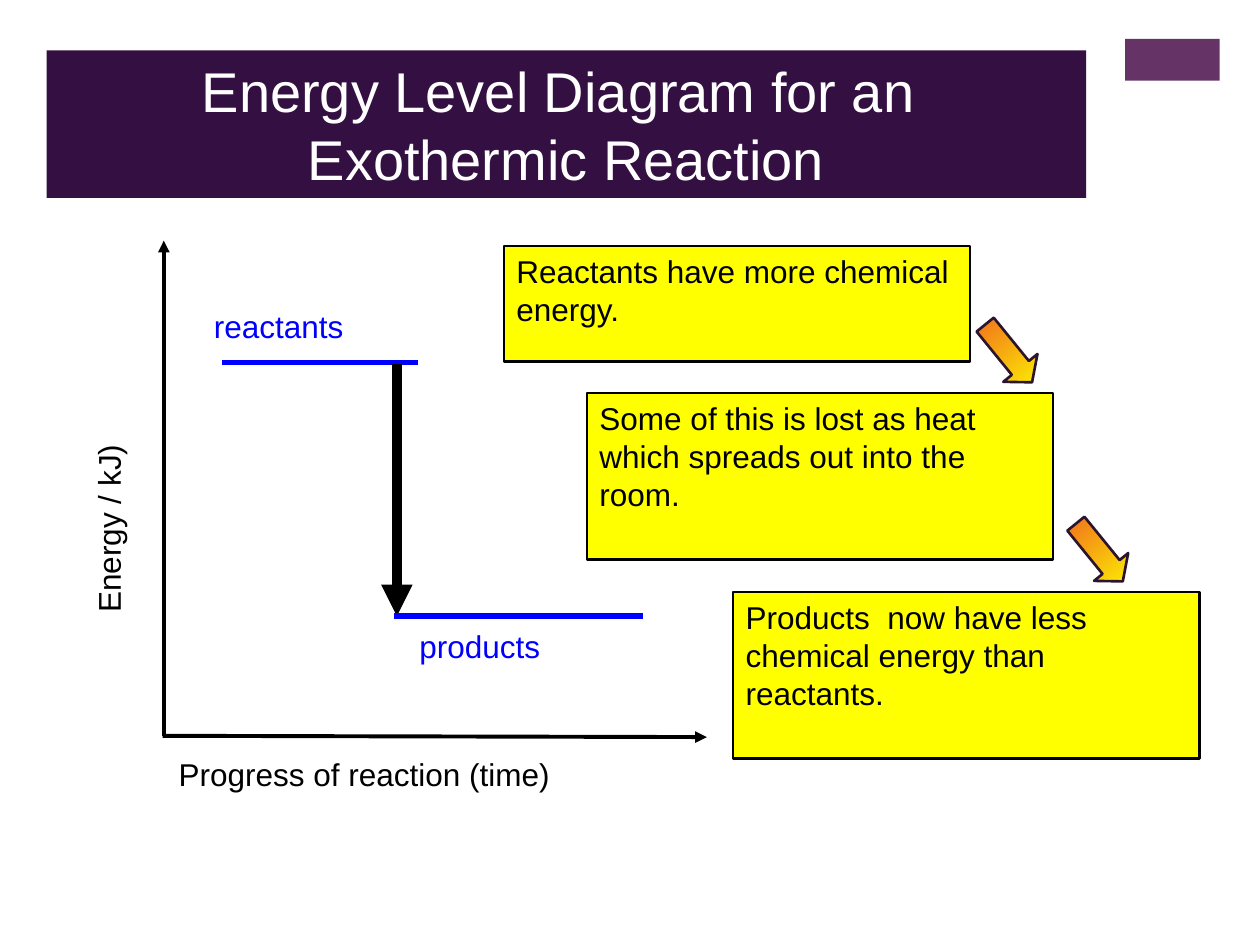
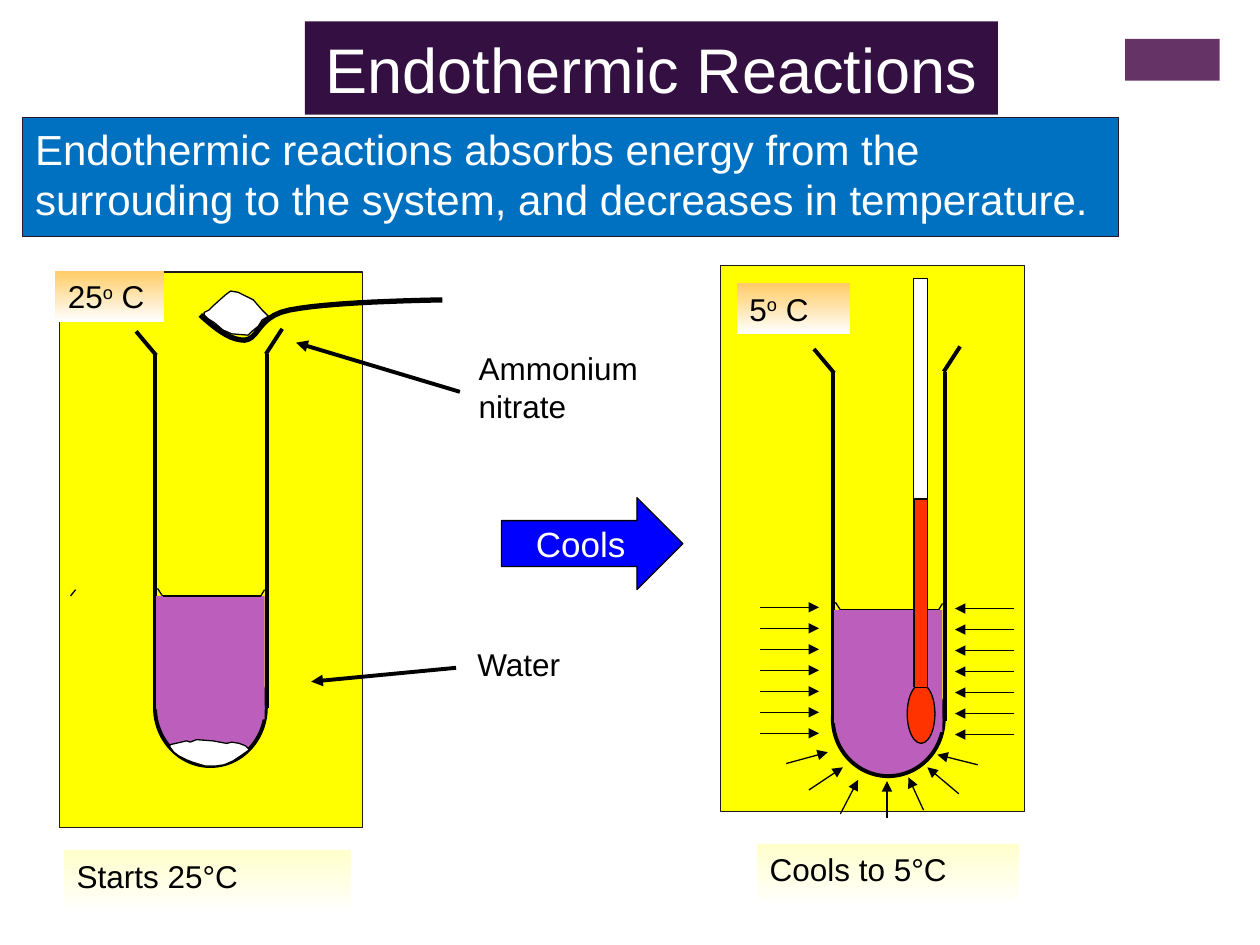
from lxml.etree import SubElement
from pptx import Presentation
from pptx.dml.color import RGBColor
from pptx.enum.shapes import MSO_CONNECTOR, MSO_SHAPE
from pptx.enum.text import MSO_ANCHOR, MSO_AUTO_SIZE, PP_ALIGN
from pptx.oxml.ns import qn
from pptx.util import Inches, Pt

COLORS = {
    "band": "330F42", "corner": "663366", "outline": "2B142D", "panel_edge": "1C1C1C",
    "black": "000000", "white": "FFFFFF", "blue": "0000FF", "banner": "0070C0",
    "yellow": "FFFF00", "orange": "EF641F", "cream": "FFFFCC", "peach": "FFCC66",
    "liquid": "BC5FBC", "mercury": "FF3300",
}
FONT = "Arial"
THIN, THICK = 0.75, 2.25


def rgb(name):
    return RGBColor.from_string(COLORS[name])


def curve_points(start, segments, steps=10):
    points = [start]
    for c1, c2, end in segments:
        origin = points[-1]
        for step in range(1, steps + 1):
            t = step / steps
            u = 1 - t
            points.append(tuple(
                u**3 * a + 3 * u**2 * t * b + 3 * u * t**2 * c + t**3 * d
                for a, b, c, d in zip(origin, c1, c2, end)))
    return points


class Deck:
    def __init__(self):
        self.prs = Presentation()
        self.prs.slide_width, self.prs.slide_height = Inches(10), Inches(7.5)
        self.slide = None

    def new_slide(self, title_lines, box, size):
        self.slide = self.prs.slides.add_slide(self.prs.slide_layouts[5])
        title = self.slide.shapes.title
        title.left, title.top, title.width, title.height = map(Inches, box)
        self.paint(title, "band")
        self.fill_text(title, title_lines, size, "white", PP_ALIGN.CENTER, MSO_ANCHOR.MIDDLE)
        self.shape(MSO_SHAPE.RECTANGLE, (8.93, 0.31, 0.75, 0.33), "corner")

    def paint(self, shape, fill=None, line=None, width=THIN):
        if isinstance(fill, tuple):
            shape.fill.gradient()
            shape.fill.gradient_angle = 270
            for stop, color in zip(shape.fill.gradient_stops, fill):
                stop.color.rgb = rgb(color)
        elif fill:
            shape.fill.solid()
            shape.fill.fore_color.rgb = rgb(fill)
        else:
            shape.fill.background()
        if line:
            shape.line.color.rgb = rgb(line)
            shape.line.width = Pt(width)
        else:
            shape.line.fill.background()

    def fill_text(self, shape, lines, size, color, align=PP_ALIGN.LEFT, anchor=MSO_ANCHOR.TOP):
        frame = shape.text_frame
        frame.word_wrap = True
        frame.auto_size = MSO_AUTO_SIZE.NONE
        frame.vertical_anchor = anchor
        for index, line in enumerate(lines):
            paragraph = frame.add_paragraph() if index else frame.paragraphs[0]
            paragraph.alignment = align
            for part in [line] if isinstance(line, str) else line:
                text, raised = (part, False) if isinstance(part, str) else part
                run = paragraph.add_run()
                run.text = text
                run.font.name, run.font.size = FONT, Pt(size)
                run.font.color.rgb = rgb(color)
                if raised:
                    run._r.get_or_add_rPr().set("baseline", "30000")

    def shape(self, kind, box, fill, line=None, width=THIN, rotation=0):
        shape = self.slide.shapes.add_shape(kind, *map(Inches, box))
        shape.shadow.inherit = False
        shape.rotation = rotation
        self.paint(shape, fill, line, width)
        return shape

    def box(self, lines, box, fill, line=None, width=THIN, size=18, color="black"):
        shape = self.shape(MSO_SHAPE.RECTANGLE, box, fill, line, width)
        self.fill_text(shape, lines, size, color)

    def label(self, lines, box, color="black", rotation=0):
        label = self.slide.shapes.add_textbox(*map(Inches, box))
        label.rotation = rotation
        self.fill_text(label, lines, 18, color)

    def line(self, start, end, width=THIN, color="black", arrow=False):
        line = self.slide.shapes.add_connector(
            MSO_CONNECTOR.STRAIGHT, *map(Inches, (*start, *end)))
        line.line.color.rgb = rgb(color)
        line.line.width = Pt(width)
        properties = line._element.spPr
        if arrow:
            SubElement(properties.find(qn("a:ln")), qn("a:tailEnd"), type="triangle")
        SubElement(properties, qn("a:effectLst"))

    def outline(self, points, fill=None, width=THIN, close=True):
        points = [tuple(map(Inches, point)) for point in points]
        builder = self.slide.shapes.build_freeform(*points[0])
        builder.add_line_segments(points[1:], close=close)
        shape = builder.convert_to_shape()
        shape.shadow.inherit = False
        self.paint(shape, fill, "black", width)

    def test_tube(self, x, rim, surface, bowl_top, bowl_height):
        right = x + 0.89
        bowl_middle = bowl_top + 0.47
        self.line((x, rim), (x, bowl_middle), THICK)
        self.line((right - 0.01, rim), (right + 0.12, rim - 0.2), THICK)
        self.line((x + 0.01, rim + 0.01), (x - 0.15, rim - 0.18), THICK)
        self.shape(MSO_SHAPE.OVAL, (x, bowl_top, 0.88, bowl_height), "liquid", "black", THICK)
        self.shape(MSO_SHAPE.RECTANGLE, (x + 0.01, surface, 0.86, 0.9), "liquid")
        self.shape(MSO_SHAPE.RECTANGLE, (x + 0.03, bowl_top + 0.45, 0.84, 0.11), "liquid")
        self.line((right, rim), (right, bowl_middle), THICK)
        meniscus = [(x + 0.02, surface - 0.06), (x + 0.06, surface),
                    (x + 0.84, surface), (x + 0.87, surface - 0.05)]
        for start, end in zip(meniscus, meniscus[1:]):
            self.line(start, end)


def exothermic_slide(deck):
    deck.new_slide(["Energy Level Diagram for an ", "Exothermic Reaction"],
                   (0.37, 0.4, 8.25, 1.17), 32)
    deck.line((1.3, 5.84), (1.3, 1.91), THICK, arrow=True)
    deck.line((1.29, 5.84), (5.61, 5.85), THICK, arrow=True)
    deck.label(["Energy / kJ)"], (-0.08, 3.72, 1.98, 0.5), rotation=270)
    deck.label(["Progress of reaction (time)"], (1.32, 5.94, 4.13, 0.5))

    deck.line((1.76, 2.88), (3.32, 2.88), 3, "blue")
    deck.label(["reactants"], (1.6, 2.39, 1.57, 0.5), "blue")
    deck.line((3.15, 2.89), (3.15, 4.89), 6, arrow=True)
    deck.line((3.13, 4.89), (5.1, 4.89), 3, "blue")
    deck.label(["products"], (3.23, 4.93, 1.48, 0.5), "blue")

    for text, left, top, height in [
        ("Reactants have more chemical energy.", 4, 1.95, 0.92),
        ("Some of this is lost as heat which spreads out into the room.", 4.66, 3.12, 1.32),
        ("Products  now have less chemical energy than reactants.", 5.82, 4.7, 1.32),
    ]:
        deck.box([text], (left, top, 3.7, height), "yellow", "black", 1.25)
    for left, top in [(7.83, 2.51), (8.55, 4.09)]:
        step_arrow = deck.shape(MSO_SHAPE.DOWN_ARROW, (left, top, 0.35, 0.59),
                                ("orange", "yellow"), "outline", 1.5, 320.9)
        step_arrow.adjustments[1] = 0.42


def heat_arrows(deck):
    for row in range(7):
        y = 4.82 + row / 6
        deck.line((6.03, y), (6.5, y), arrow=True)
        deck.line((8.05, y + 0.01), (7.58, y + 0.01), arrow=True)
    for outer, tip in [
        ((6.24, 6.06), (6.57, 5.97)), ((6.42, 6.27), (6.69, 6.09)),
        ((6.67, 6.46), (6.81, 6.19)), ((7.04, 6.49), (7.04, 6.2)),
        ((7.33, 6.43), (7.21, 6.17)), ((7.61, 6.3), (7.36, 6.09)),
        ((7.76, 6.07), (7.44, 5.99)),
    ]:
        deck.line(outer, tip, arrow=True)


def endothermic_slide(deck):
    deck.new_slide(["Endothermic Reactions"], (2.42, 0.17, 5.5, 0.74), 36)

    deck.shape(MSO_SHAPE.RECTANGLE, (5.72, 2.11, 2.41, 4.33), "yellow", "panel_edge")
    deck.test_tube(6.61, 2.95, 4.84, 5.25, 0.91)
    deck.shape(MSO_SHAPE.OVAL, (7.2, 5.43, 0.22, 0.47), "mercury", "black")
    deck.shape(MSO_SHAPE.RECTANGLE, (7.25, 2.21, 0.11, 3.24), "white", "black")
    deck.shape(MSO_SHAPE.RECTANGLE, (7.26, 3.96, 0.1, 1.5), "mercury", "black")
    heat_arrows(deck)

    deck.shape(MSO_SHAPE.RECTANGLE, (0.47, 2.16, 2.41, 4.41), "yellow", "panel_edge")
    deck.test_tube(1.23, 2.81, 4.73, 5.15, 0.93)
    deck.line((0.56, 4.73), (0.6, 4.68))
    settled_powder = [
        (1.35, 5.91), (1.44, 5.89), (1.48, 5.88), (1.51, 5.89), (1.56, 5.87), (1.69, 5.88),
        (1.8, 5.9), (1.84, 5.89), (1.9, 5.9), (1.95, 5.92), (1.98, 5.95), (1.91, 6),
        (1.85, 6.04), (1.78, 6.07), (1.71, 6.08), (1.63, 6.08), (1.53, 6.05), (1.48, 6.03),
        (1.42, 6), (1.38, 5.97), (1.35, 5.93)]
    deck.outline(settled_powder, "white")
    scooped_powder = [
        (1.62, 2.48), (1.66, 2.46), (1.7, 2.42), (1.79, 2.34), (1.83, 2.31), (1.89, 2.32),
        (1.95, 2.35), (2.01, 2.38), (2.08, 2.46), (2.13, 2.51), (2.08, 2.54), (2.05, 2.59),
        (2, 2.63), (1.97, 2.66), (1.84, 2.65), (1.77, 2.62), (1.7, 2.56), (1.65, 2.53),
        (1.62, 2.5)]
    deck.outline(scooped_powder, "white")
    spoon = curve_points((1.59, 2.5), [
        ((1.7, 2.6), (1.82, 2.7), (1.94, 2.7)),
        ((2.06, 2.69), (2.04, 2.51), (2.3, 2.46)),
        ((2.56, 2.41), (3.03, 2.39), (3.51, 2.38))])
    deck.outline(spoon, width=3, close=False)

    deck.label(["Ammonium", "nitrate"], (3.7, 2.72, 1.89, 0.9))
    deck.line((3.65, 3.11), (2.35, 2.72), THICK, arrow=True)
    deck.label(["Water"], (3.69, 5.07, 1.09, 0.5))
    deck.line((3.62, 5.3), (2.47, 5.41), THICK, arrow=True)

    cooling = deck.shape(MSO_SHAPE.RIGHT_ARROW, (3.98, 3.95, 1.44, 0.73), "blue", "black")
    deck.fill_text(cooling, ["Cools"], 20, "white", PP_ALIGN.CENTER, MSO_ANCHOR.MIDDLE)

    for degrees, box in [("5", (5.85, 2.25, 0.9, 0.4)), ("25", (0.44, 2.15, 0.86, 0.4))]:
        deck.box([[degrees, ("o", True), " C"]], box, ("peach", "white"))
    for caption, box in [("Starts 25°C", (0.51, 6.75, 2.28, 0.5)),
                         ("Cools to 5°C", (6.01, 6.7, 2.08, 0.5))]:
        deck.box([caption], box, ("cream", "white"))
    deck.box(["Endothermic reactions absorbs energy from the surrouding to the system, "
              "and decreases in temperature."],
             (0.18, 0.93, 8.7, 0.95), "banner", "outline", size=24, color="white")


def main():
    deck = Deck()
    exothermic_slide(deck)
    endothermic_slide(deck)
    deck.prs.save("out.pptx")


if __name__ == "__main__":
    main()
